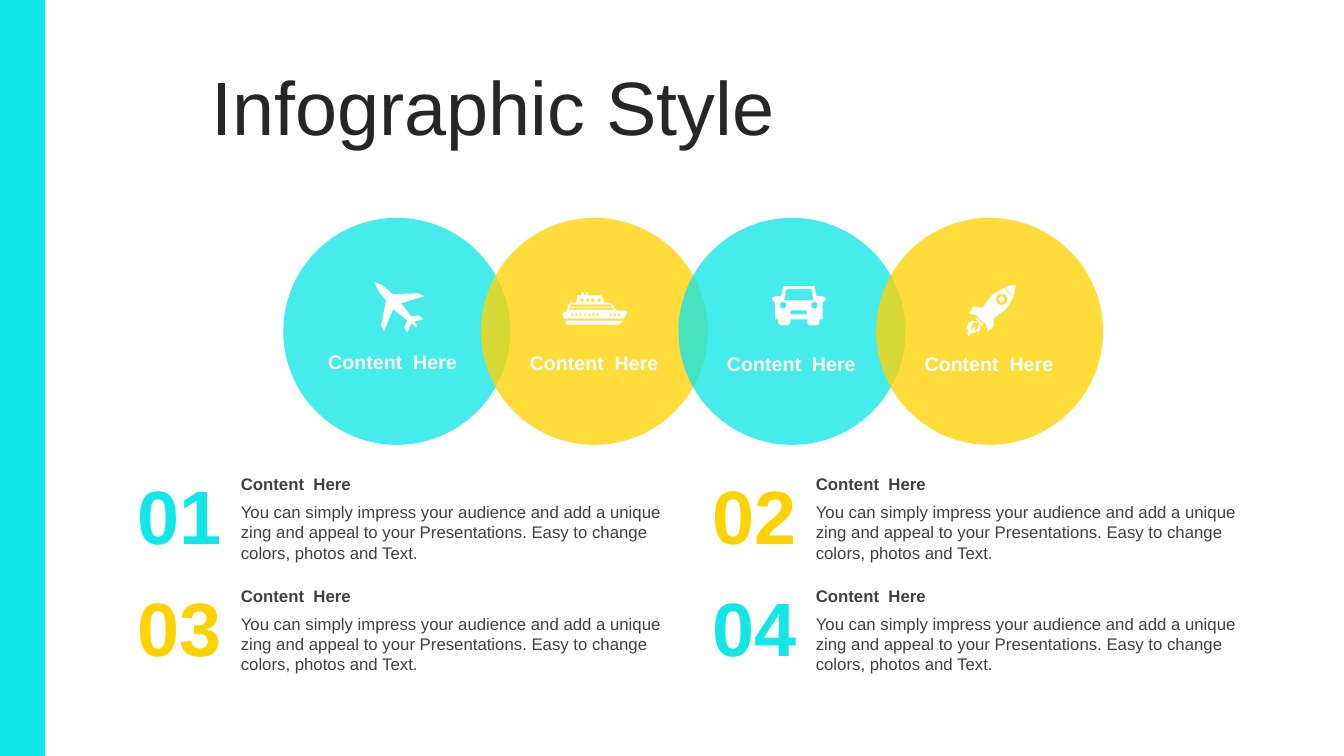
"""Infographic slide: four overlapping circles with icons above four numbered notes."""
from math import cos, pi, sin

from lxml import etree
from pptx import Presentation
from pptx.dml.color import RGBColor as RGB
from pptx.enum.shapes import MSO_SHAPE as SHAPE
from pptx.enum.text import MSO_ANCHOR as ANCHOR, MSO_AUTO_SIZE as FIT, PP_ALIGN as ALIGN
from pptx.oxml.ns import qn
from pptx.util import Cm, Pt

COLORS = {"cyan": "12E6E6", "yellow": "FFD302", "title": "262626",
          "text": "404040", "white": "FFFFFF"}
HEADING = "Content  Here"
BODY = ("You can simply impress your audience and add a unique zing and appeal "
        "to your Presentations. Easy to change colors, photos and Text.")


def add_text(box, text, size, color, bold=False, align=ALIGN.LEFT,
             anchor=ANCHOR.MIDDLE, insets=(0.25, 0.13, 0.25, 0.13), fit=FIT.SHAPE_TO_FIT_TEXT):
    tf = box.text_frame
    tf.text = text
    tf.word_wrap = True
    tf.auto_size = fit
    tf.vertical_anchor = anchor
    tf.margin_left, tf.margin_top, tf.margin_right, tf.margin_bottom = map(Cm, insets)
    p = tf.paragraphs[0]
    p.alignment = align
    font = p.runs[0].font
    font.name, font.size, font.bold = "Arial", Pt(size), bold
    font.color.rgb = RGB.from_string(COLORS[color])
    return p


def ring(x, y, radius):
    return [(x + radius * cos(k * pi / 12), y + radius * sin(k * pi / 12)) for k in range(24)]


prs = Presentation()
prs.slide_width, prs.slide_height = Cm(33.87), Cm(19.05)
s = prs.slides.add_slide(prs.slide_layouts[5])

band = s.shapes.add_shape(SHAPE.RECTANGLE, 0, 0, Cm(1.14), prs.slide_height)
band.shadow.inherit = False
band.fill.solid()
band.fill.fore_color.rgb = RGB.from_string(COLORS["cyan"])
band.line.fill.background()

title = s.shapes.title
title.left, title.top, title.width, title.height = Cm(5.08), Cm(1.78), Cm(27.74), Cm(2.01)
p = add_text(title, "Infographic Style", 54, "title", fit=FIT.NONE)
p.line_spacing = 0.9
p.space_before = Pt(10)

for i, color in enumerate(["cyan", "yellow", "cyan", "yellow"]):
    circle = s.shapes.add_shape(SHAPE.OVAL, Cm(7.14 + 4.98 * i), Cm(5.49), Cm(5.72), Cm(5.72))
    circle.shadow.inherit = False
    circle.fill.solid()
    circle.fill.fore_color.rgb = RGB.from_string(COLORS[color])
    circle.line.fill.background()
    rgb = circle.fill._xPr.find(qn("a:solidFill"))[0]
    etree.SubElement(rgb, qn("a:alpha")).set("val", "78000")

for i, color in enumerate(["cyan", "yellow", "yellow", "cyan"]):
    row, col = divmod(i, 2)
    x, y = 14.49 * col, 11.81 + 2.82 * row
    heading = s.shapes.add_textbox(Cm(6.07 + x), Cm(y), Cm(11.3), Cm(0.77))
    add_text(heading, HEADING, 12, "text", True, insets=(0, 0.13, 0.25, 0.13))
    body = s.shapes.add_textbox(Cm(6.07 + x), Cm(y + 0.71), Cm(11.3), Cm(1.8))
    add_text(body, BODY, 12, "text", anchor=ANCHOR.TOP, insets=(0, 0.13, 0.25, 0.13))
    number = s.shapes.add_textbox(Cm(3.2 + x), Cm(y), Cm(2.39), Cm(2.31))
    add_text(number, f"{i + 1:02}", 54, color, True, ALIGN.RIGHT, insets=(0, 0, 0, 0))

for x, y in [(7.7, 8.69), (12.78, 8.71), (17.75, 8.74), (22.73, 8.74)]:
    label = s.shapes.add_textbox(Cm(x), Cm(y), Cm(4.39), Cm(0.86))
    add_text(label, HEADING, 14, "white", True, ALIGN.CENTER)

plane = [[(48, 37), (39, 39), (42, 43), (41, 45), (36, 41), (32, 50), (29, 45), (32, 38),
          (18, 27), (9, 49), (6, 43), (11, 18), (5, 11), (1, 4), (0, 0), (7, 3), (18, 12),
          (43, 11), (49, 14), (26, 21), (36, 34), (44, 33)]]

ship = [[(24, 0), (25, 0), (26, 3), (39, 3), (42, 10), (48, 10), (54, 18), (64, 18), (64, 21),
         (61, 26), (2, 26), (0, 22), (1, 20), (4, 19), (7, 10), (14, 10), (15, 3), (19, 3),
         (19, 0), (21, 0), (22, 3), (23, 3)],
        [(3, 28), (60, 28), (57, 32), (4, 32)],
        [(7, 15), (7, 17), (52, 17), (50, 15)],
        [(8, 12), (8, 14), (49, 14), (48, 12)]]
portholes = [(x, 21, 2, 2) for x in (9, 13, 17, 22, 26, 30, 34, 47, 51, 55)]
cabins = [(x, 6, 3, 3) for x in (18, 24, 29, 35)]
ship += [[(x, y), (x + w, y), (x + w, y + h), (x, y + h)] for x, y, w, h in portholes + cabins]

car = [[(11, 0), (42, 0), (44, 10), (50, 10), (52, 11), (53, 12), (53, 13), (52, 15), (50, 16),
        (50, 33), (47, 33), (47, 37), (45, 39), (37, 39), (35, 37), (35, 33), (18, 33),
        (18, 37), (16, 39), (8, 39), (6, 37), (6, 33), (3, 33), (3, 16), (1, 15), (0, 13),
        (0, 12), (1, 11), (3, 10), (9, 10)],
       [(14, 3), (12, 14), (41, 14), (39, 3)],
       [(19, 24), (34, 24), (35, 26), (34, 28), (19, 28), (18, 26)],
       ring(11, 19, 3.2), ring(42, 19, 3.2)]

rocket = [[(39, 2), (42, 7), (48, 11), (41, 23), (28, 33), (28, 41), (22, 46), (20, 37),
           (19, 38), (12, 31), (12, 30), (3, 28), (8, 21), (17, 22), (26, 10)],
          [(50, 0), (48, 10), (43, 7), (40, 1), (45, 0)],
          [(11, 32), (18, 39), (16, 40), (10, 33)],
          [(12, 37), (8, 37), (6, 41), (6, 45), (8, 42), (11, 41), (9, 42), (9, 45), (12, 43),
           (14, 38), (15, 42), (13, 48), (12, 45), (9, 47), (5, 48), (3, 51), (2, 47),
           (3, 42), (1, 44), (3, 37), (7, 35)],
          ring(36, 14, 5.5), ring(36, 14, 2.8)]

for outlines, x, y in [(plane, 9.45, 7.11), (ship, 14.17, 7.37),
                       (car, 19.46, 7.21), (rocket, 24.33, 7.19)]:
    pen = s.shapes.build_freeform(*outlines[0][0], scale=Cm(0.0254))
    for outline in outlines:
        pen.move_to(*outline[0])
        pen.add_line_segments(outline[1:], close=True)
    icon = pen.convert_to_shape(Cm(x), Cm(y))
    icon.shadow.inherit = False
    icon.fill.solid()
    icon.fill.fore_color.rgb = RGB.from_string(COLORS["white"])
    icon.line.fill.background()

prs.save("out.pptx")
